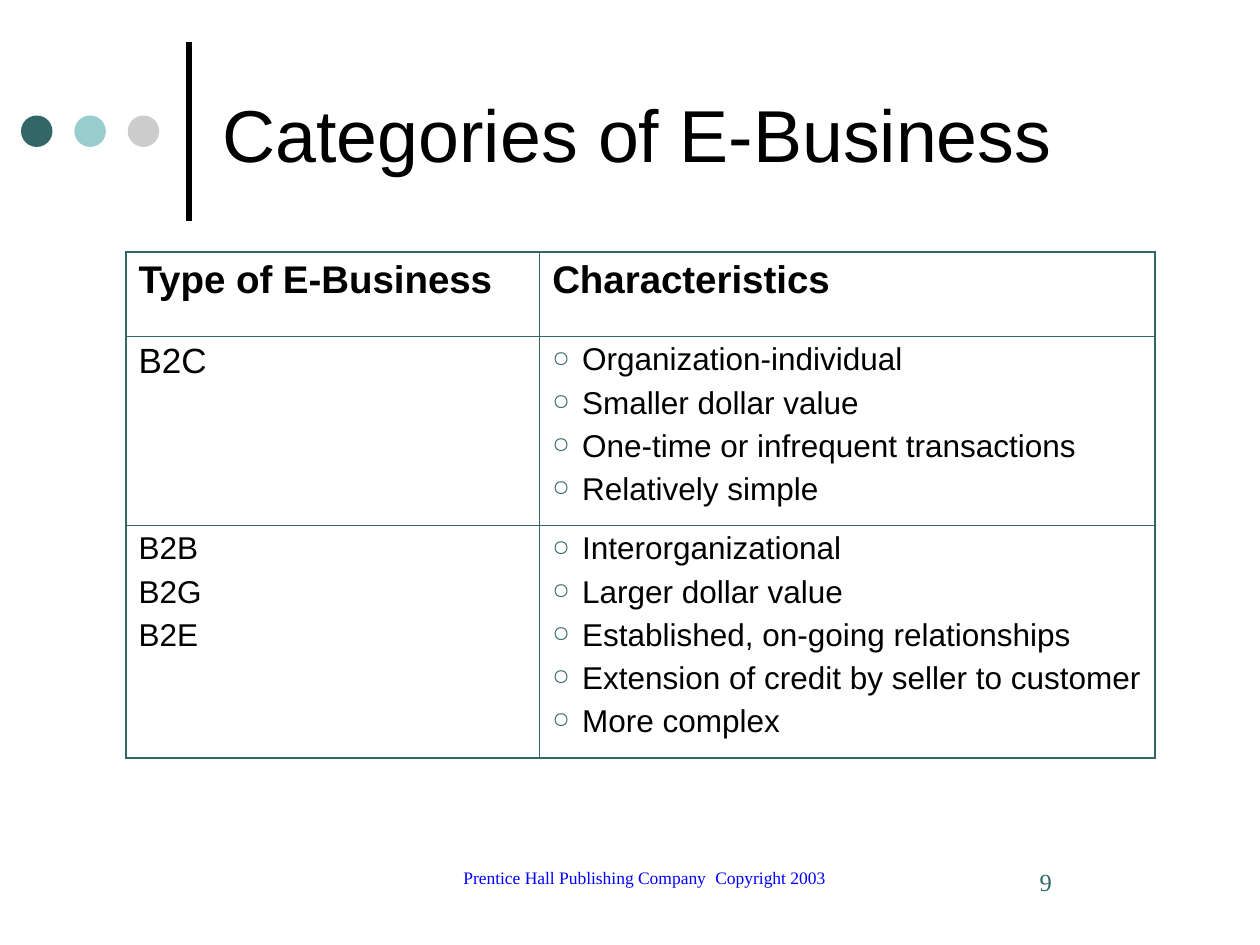
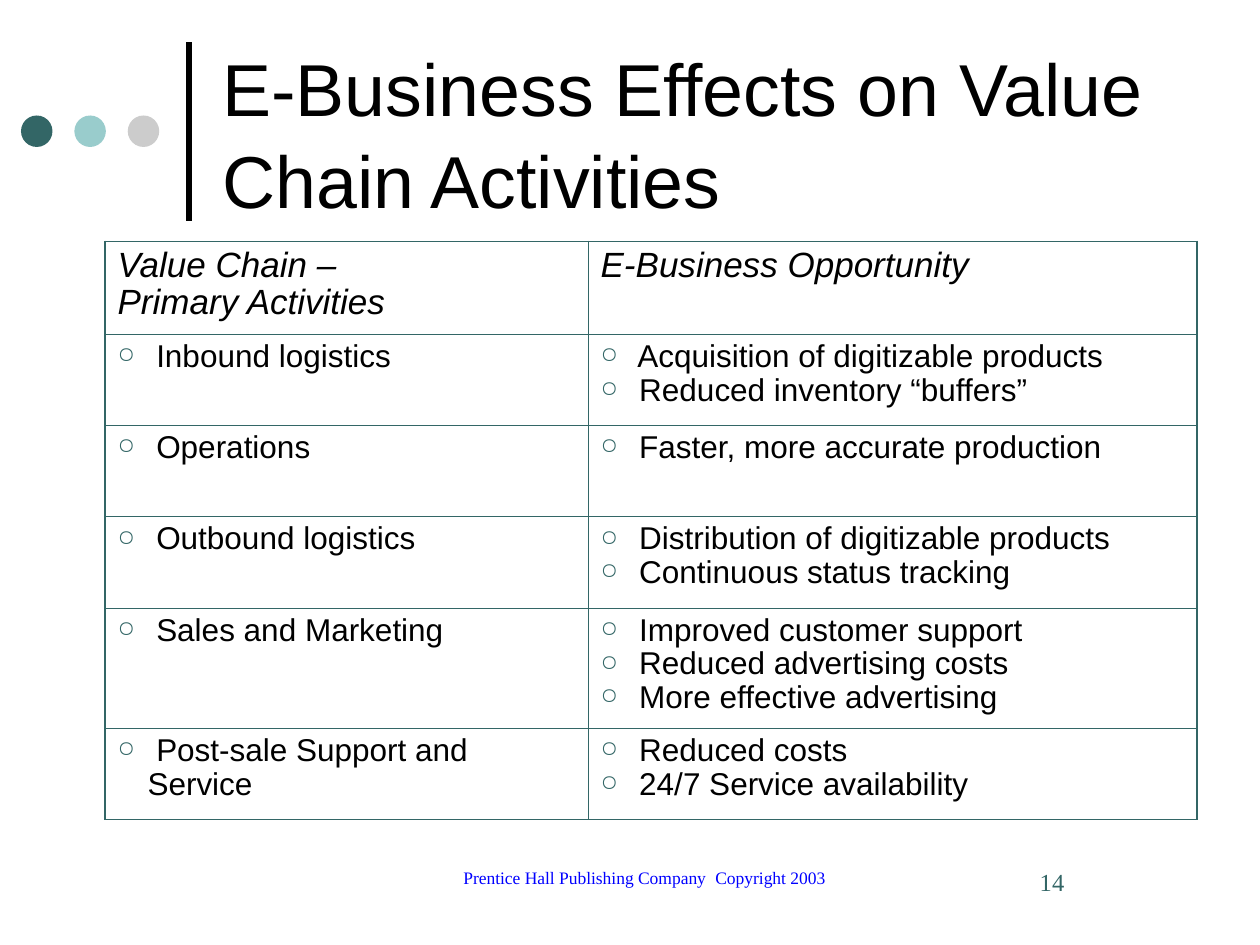
import pptx
import pptx.util
import pptx.dml.color
import pptx.enum.shapes
import pptx.enum.text
import pptx.oxml.ns
import lxml.etree

Pt = pptx.util.Pt
qn = pptx.oxml.ns.qn
sub = lxml.etree.SubElement
kinds = pptx.enum.shapes

colors = {"black": "000000", "teal": "336666", "aqua": "99CCCC",
          "gray": "CCCCCC", "blue": "0000FF"}
sans, serif = "Arial", "Times New Roman"
hang = 17.1


def paint(name):
    return pptx.dml.color.RGBColor.from_string(colors[name])


def write(para, text, size, face=sans, color="black", bold=False, slant=False):
    run = para.add_run()
    run.text = text
    font = run.font
    font.size, font.name = Pt(size), face
    font.bold, font.italic = bold, slant
    font.color.rgb = paint(color)


pages = [
    {"title": "Categories of E-Business", "page": "9",
     "left": 72, "top": 144, "cols": [236.4, 351.6], "rows": [48, 108, 132.4],
     "lead": 1, "gap": 4.5, "head": {"size": 22, "bold": True},
     "sizes": {"B2C": 20}, "dots": [1],
     "cells": [
         [["Type of E-Business"], ["Characteristics"]],
         [["B2C"],
          ["Organization-individual", "Smaller dollar value",
           "One-time or infrequent transactions", "Relatively simple"]],
         [["B2B", "B2G", "B2E"],
          ["Interorganizational", "Larger dollar value",
           "Established, on-going relationships",
           "Extension of credit by seller to customer", "More complex"]]]},
    {"title": "E-Business Effects on Value Chain Activities", "page": "14",
     "left": 60, "top": 138, "cols": [276, 348],
     "rows": [53.2, 52, 52.2, 52.2, 68.8, 52],
     "lead": 0.95, "gap": 0, "head": {"size": 20, "slant": True},
     "sizes": {}, "dots": [0, 1],
     "cells": [
         [["Value Chain –", "Primary Activities"], ["E-Business Opportunity"]],
         [[" Inbound logistics"],
          [" Acquisition of digitizable products",
           " Reduced inventory “buffers”"]],
         [[" Operations"], [" Faster, more accurate production"]],
         [[" Outbound logistics"],
          [" Distribution of digitizable products",
           " Continuous status tracking"]],
         [[" Sales and Marketing"],
          [" Improved customer support", " Reduced advertising costs",
           " More effective advertising"]],
         [[" Post-sale Support and Service"],
          [" Reduced costs", " 24/7 Service availability"]]]},
]

deck = pptx.Presentation()
deck.slide_width, deck.slide_height = Pt(720), Pt(540)

for page in pages:
    slide = deck.slides.add_slide(deck.slide_layouts[6])
    shapes = slide.shapes

    rule = shapes.add_connector(kinds.MSO_CONNECTOR.STRAIGHT,
                                Pt(108), Pt(126), Pt(108), Pt(24))
    rule.line.color.rgb = paint("black")
    rule.line.width = Pt(3)
    sub(rule._element.spPr, qn("a:effectLst"))

    for i, color in enumerate(["teal", "aqua", "gray"]):
        dot = shapes.add_shape(kinds.MSO_SHAPE.OVAL, Pt(12 + 30.5 * i), Pt(66),
                               Pt(18), Pt(18))
        dot.shadow.inherit = False
        dot.fill.solid()
        dot.fill.fore_color.rgb = paint(color)
        dot.line.fill.background()

    frame = shapes.add_textbox(Pt(120), Pt(15), Pt(552), Pt(120)).text_frame
    frame.word_wrap = True
    frame.vertical_anchor = pptx.enum.text.MSO_ANCHOR.MIDDLE
    frame.paragraphs[0].line_spacing = 1.04
    write(frame.paragraphs[0], page["title"], 42)

    cols, rows = page["cols"], page["rows"]
    table = shapes.add_table(len(rows), len(cols), Pt(page["left"]), Pt(page["top"]),
                             Pt(sum(cols)), Pt(sum(rows))).table
    table.first_row = table.horz_banding = False
    for c, width in enumerate(cols):
        table.columns[c].width = Pt(width)
    for r, height in enumerate(rows):
        table.rows[r].height = Pt(height)
        for c in range(len(cols)):
            cell = table.cell(r, c)
            cell.fill.background()
            props = cell._tc.get_or_add_tcPr()
            outer = {"L": c == 0, "R": c == len(cols) - 1,
                     "T": r == 0, "B": r == len(rows) - 1}
            for i, (side, edge) in enumerate(outer.items()):
                line = lxml.etree.Element(qn("a:ln" + side),
                                          w=str(Pt(1.08 if edge else 0.45)))
                fill = sub(line, qn("a:solidFill"))
                sub(fill, qn("a:srgbClr"), val=colors["teal"])
                props.insert(i, line)

            for i, text in enumerate(page["cells"][r][c]):
                frame = cell.text_frame
                para = frame.add_paragraph() if i else frame.paragraphs[0]
                para.line_spacing = page["lead"]
                if i:
                    para.space_before = Pt(page["gap"])
                if r and c in page["dots"]:
                    form = para._p.get_or_add_pPr()
                    form.set("marL", str(Pt(hang)))
                    form.set("indent", str(-Pt(hang)))
                    tint = sub(form, qn("a:buClr"))
                    sub(tint, qn("a:srgbClr"), val=colors["teal"])
                    sub(form, qn("a:buSzPct"), val="70000")
                    sub(form, qn("a:buChar"), char="○")
                style = {"size": page["sizes"].get(text, 18)} if r else page["head"]
                write(para, text, **style)

    for left, width, inset, text, size, color in [
            (228, 288, 29.7, "Prentice Hall Publishing Company\tCopyright 2003", 10, "blue"),
            (570, 102, hang, page["page"], 14, "teal")]:
        frame = shapes.add_textbox(Pt(left), Pt(492), Pt(width), Pt(36)).text_frame
        frame.word_wrap = True
        para = frame.paragraphs[0]
        form = para._p.get_or_add_pPr()
        form.set("marL", str(Pt(inset)))
        form.set("indent", "0")
        if "\t" in text:
            tabs = sub(form, qn("a:tabLst"))
            sub(tabs, qn("a:tab"), pos=str(Pt(180.7)), algn="l")
        write(para, text, size, serif, color)

deck.save("out.pptx")
